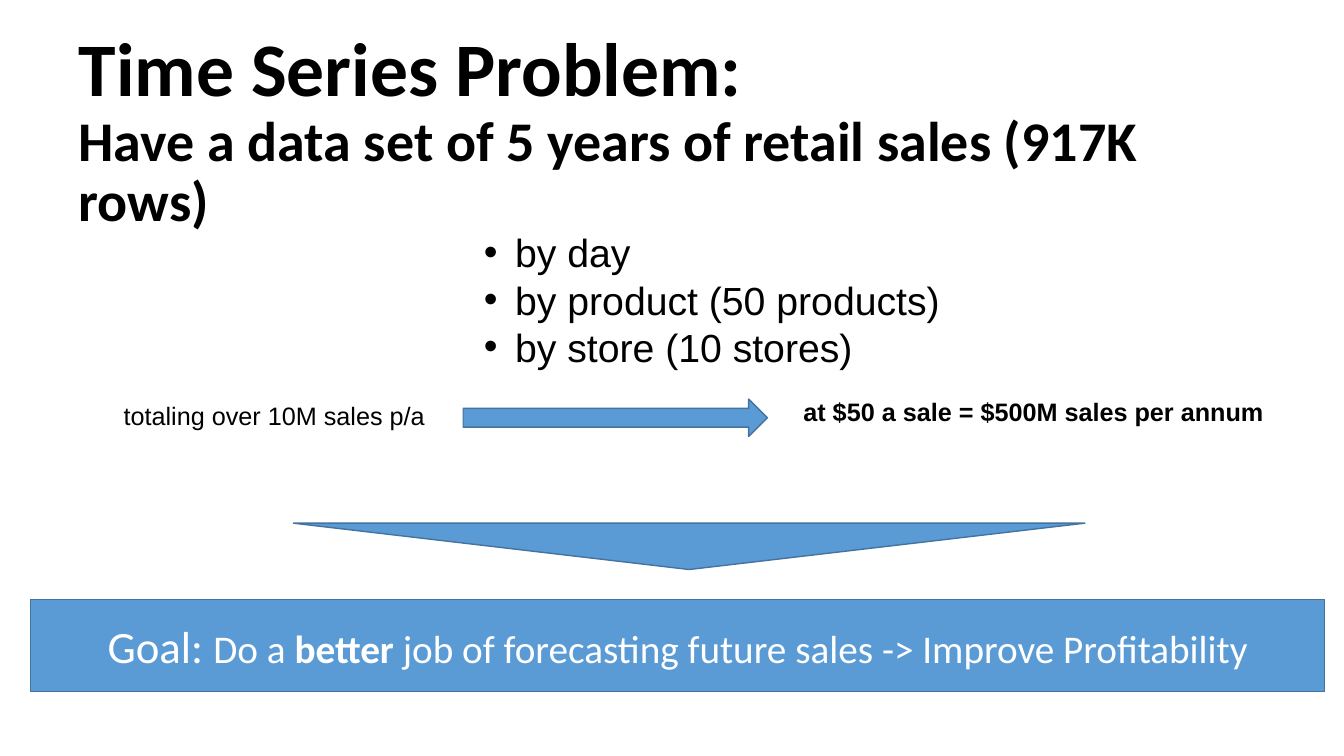
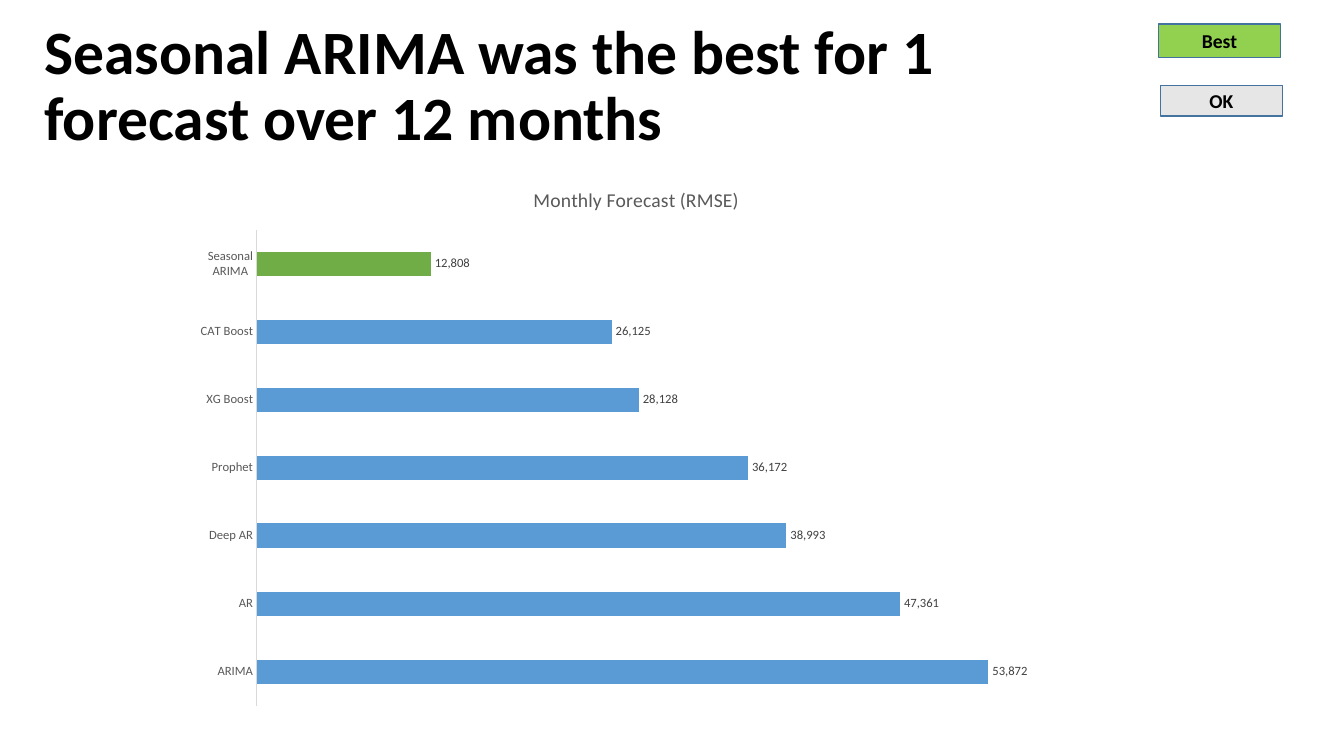
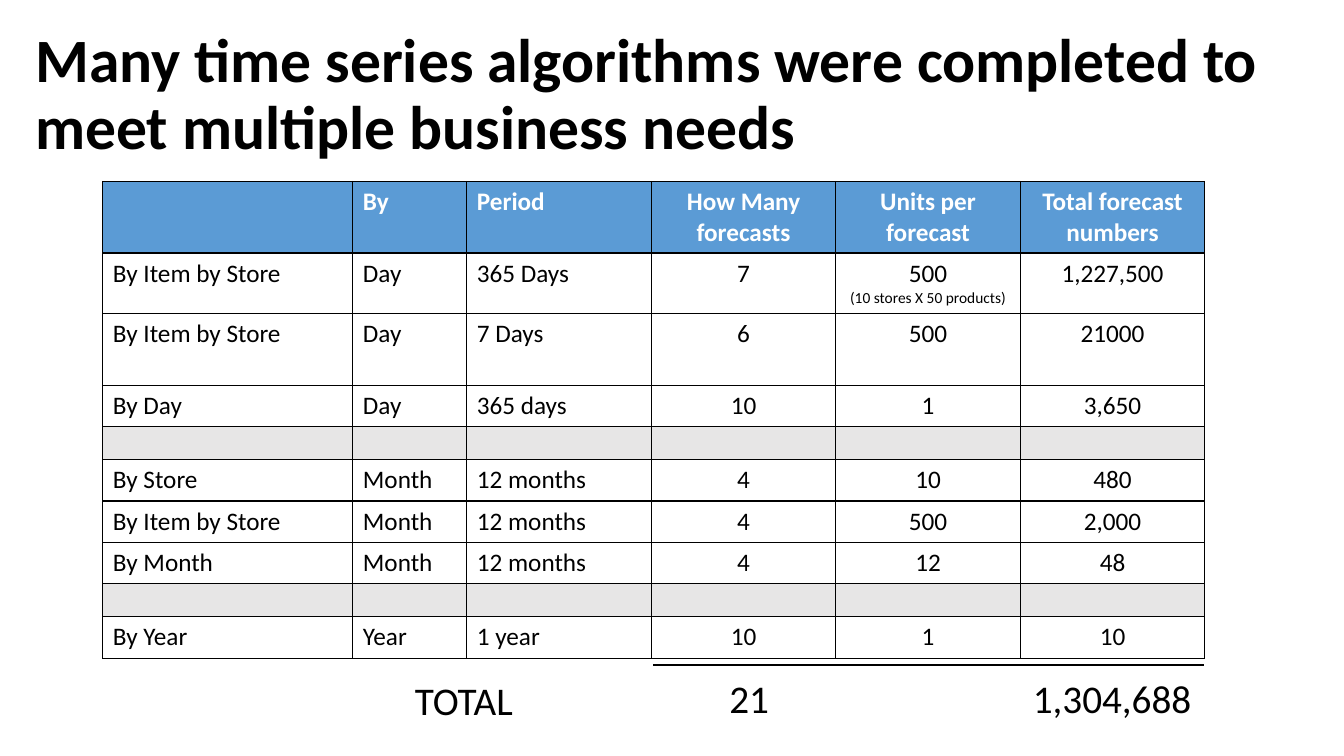
"""Build a three-slide deck on retail sales forecasting."""
from lxml import etree
from pptx import Presentation
from pptx import util as u
from pptx.chart.data import CategoryChartData
from pptx.dml.color import RGBColor
from pptx.enum import chart as charts, shapes, text
from pptx.oxml.ns import qn

EMU_PER_PX = 9144
BLACK = RGBColor(0x00, 0x00, 0x00)
WHITE = RGBColor(0xFF, 0xFF, 0xFF)
BLUE = RGBColor(0x5B, 0x9B, 0xD5)
DARK_BLUE = RGBColor(0x43, 0x73, 0x9E)
GREY = RGBColor(0xE7, 0xE6, 0xE6)
AXIS_GREY = RGBColor(0xD9, 0xD9, 0xD9)
LABEL_GREY = RGBColor(0x59, 0x59, 0x59)
VALUE_GREY = RGBColor(0x40, 0x40, 0x40)
LIME = RGBColor(0x92, 0xD0, 0x50)
GREEN = RGBColor(0x70, 0xAD, 0x47)

LEFT = text.PP_ALIGN.LEFT
CENTER = text.PP_ALIGN.CENTER
MIDDLE = text.MSO_ANCHOR.MIDDLE
SHAPE = shapes.MSO_SHAPE

FORECASTS = [
    ("", "By", "Period", "How Many forecasts", "Units per forecast", "Total forecast numbers"),
    ("By Item by Store", "Day", "365 Days", "7", "500\n(10 stores X 50 products)", "1,227,500"),
    ("By Item by Store", "Day", "7 Days", "6", "500", "21000"),
    ("By Day", "Day", "365 days", "10", "1", "3,650"),
    ("",) * 6,
    ("By Store", "Month", "12 months", "4", "10", "480"),
    ("By Item by Store", "Month", "12 months", "4", "500", "2,000"),
    ("By Month", "Month", "12 months", "4", "12", "48"),
    ("",) * 6,
    ("By Year", "Year", "1 year", "10", "1", "10"),
]
COLUMN_WIDTHS = [248, 113, 183, 183, 183, 183]
ROW_HEIGHTS = [70, 60, 71, 41, 33, 41, 41, 41, 33, 41]
RMSE = {
    "ARIMA": 53872,
    "AR": 47361,
    "Deep AR": 38993,
    "Prophet": 36172,
    "XG Boost": 28128,
    "CAT Boost": 26125,
    "Seasonal ARIMA": 12808,
}


def px(*lengths):
    return [u.Emu(length * EMU_PER_PX) for length in lengths]


def apply(target, **values):
    for name, value in values.items():
        setattr(target, name, value)


def style_font(font, size, color=BLACK, name="Calibri", bold=False):
    apply(font, size=u.Pt(size), name=name, bold=bold)
    font.color.rgb = color


def style_line(line, color, width):
    line.color.rgb = color
    line.width = u.Pt(width)


def write(frame, paras, align=LEFT, **frame_format):
    """Fill a text frame with paragraphs, each a list of (text, font format) spans."""
    apply(frame, **frame_format)
    for index, spans in enumerate(paras):
        para = frame.add_paragraph() if index else frame.paragraphs[0]
        para.alignment = align
        for words, font_format in spans:
            if words == "\n":
                para.add_line_break()
                continue
            span = para.add_run()
            span.text = words
            style_font(span.font, **font_format)


def add_titled_page(deck, bounds, spans):
    page = deck.slides.add_slide(deck.slide_layouts[5])
    title = page.shapes.title
    apply(title, **dict(zip(("left", "top", "width", "height"), px(*bounds))))
    write(title.text_frame, [spans], vertical_anchor=MIDDLE, word_wrap=True,
          auto_size=text.MSO_AUTO_SIZE.NONE)
    title.text_frame.paragraphs[0].line_spacing = 0.9
    return page


def add_block(page, kind, bounds, fill=BLUE, outlined=True):
    block = page.shapes.add_shape(kind, *px(*bounds))
    block.shadow.inherit = False
    block.fill.solid()
    block.fill.fore_color.rgb = fill
    if outlined:
        style_line(block.line, DARK_BLUE, 1)
    else:
        block.line.fill.background()
    return block


def add_label_block(page, bounds, fill, spans):
    block = add_block(page, SHAPE.RECTANGLE, bounds, fill)
    write(block.text_frame, [spans], CENTER, vertical_anchor=MIDDLE, word_wrap=True)


def add_note(page, bounds, paras, align):
    note = add_block(page, SHAPE.RECTANGLE, bounds, WHITE, outlined=False)
    left, top, right, bottom = px(0, 0, 0, 13)
    write(note.text_frame, paras, align, vertical_anchor=MIDDLE, word_wrap=True,
          auto_size=text.MSO_AUTO_SIZE.SHAPE_TO_FIT_TEXT, margin_left=left,
          margin_top=top, margin_right=right, margin_bottom=bottom)
    return note


def add_bullet(para, indent):
    props = para._p.get_or_add_pPr()
    props.set("marL", str(indent))
    props.set("indent", str(-indent))
    etree.SubElement(props, qn("a:buFont"), typeface="Arial")
    etree.SubElement(props, qn("a:buChar"), char="•")


def add_total(page, left, top, words):
    box = page.shapes.add_textbox(*px(left, top, 242, 35))
    write(box.text_frame, [[(words, dict(size=28))]], CENTER,
          vertical_anchor=MIDDLE, word_wrap=True)


def add_rule(page, start, end):
    rule = page.shapes.add_connector(shapes.MSO_CONNECTOR.STRAIGHT, *px(*start, *end))
    style_line(rule.line, BLACK, 1.5)
    etree.SubElement(rule._element.spPr, qn("a:effectLst"))


def add_cell_borders(cell):
    props = cell._tc.get_or_add_tcPr()
    for side in ("a:lnL", "a:lnR", "a:lnT", "a:lnB"):
        border = etree.SubElement(props, qn(side), w=str(u.Pt(1)))
        fill = etree.SubElement(border, qn("a:solidFill"))
        etree.SubElement(fill, qn("a:srgbClr"), val=str(BLACK))


def fill_cell(cell, words, align, is_header, is_gap):
    add_cell_borders(cell)
    if is_header or is_gap:
        cell.fill.solid()
        cell.fill.fore_color.rgb = BLUE if is_header else GREY
    else:
        cell.fill.background()
    if is_gap:
        apply(cell, margin_top=0, margin_bottom=0)
    if words:
        color = WHITE if is_header else BLACK
        paras = [[(line, dict(size=11 if index else 18, color=color, bold=is_header))]
                 for index, line in enumerate(words.split("\n"))]
        write(cell.text_frame, paras, align)


def add_forecast_table(page, left, top):
    bounds = px(left, top, sum(COLUMN_WIDTHS), sum(ROW_HEIGHTS))
    table = page.shapes.add_table(len(FORECASTS), len(COLUMN_WIDTHS), *bounds).table
    apply(table, first_row=False, horz_banding=False)
    for column, width in zip(table.columns, px(*COLUMN_WIDTHS)):
        column.width = width
    for row, height in zip(table.rows, px(*ROW_HEIGHTS)):
        row.height = height
    for r, entries in enumerate(FORECASTS):
        for c, words in enumerate(entries):
            fill_cell(table.cell(r, c), words, CENTER if c > 2 else LEFT,
                      r == 0, not any(entries))


def add_rmse_chart(page, bounds):
    data = CategoryChartData(number_format="#,##0")
    data.categories = list(RMSE)
    data.add_series("Series 1", list(RMSE.values()))
    chart = page.shapes.add_chart(charts.XL_CHART_TYPE.BAR_CLUSTERED, *px(*bounds), data).chart
    chart.has_legend = False
    style_font(chart.font, 10)
    write(chart.chart_title.text_frame,
          [[("Monthly Forecast (RMSE)", dict(size=14, color=LABEL_GREY))]], CENTER)

    names = chart.category_axis
    names.major_tick_mark = charts.XL_TICK_MARK.NONE
    style_font(names.tick_labels.font, 9, LABEL_GREY)
    style_line(names.format.line, AXIS_GREY, 0.75)
    apply(chart.value_axis, visible=False, has_major_gridlines=False,
          minimum_scale=0, maximum_scale=60000)

    plot = chart.plots[0]
    apply(plot, gap_width=182, vary_by_categories=False, has_data_labels=True)
    apply(plot.data_labels, show_value=True, number_format="#,##0",
          number_format_is_linked=False, position=charts.XL_LABEL_POSITION.OUTSIDE_END)
    style_font(plot.data_labels.font, 9, VALUE_GREY)
    series = plot.series[0]
    best = series.points[len(RMSE) - 1]
    for bar, color in ((series, BLUE), (best, GREEN)):
        bar.format.fill.solid()
        bar.format.fill.fore_color.rgb = color


def build_problem(deck):
    page = add_titled_page(deck, (68, 97, 1164, 69), [
        ("Time Series Problem:", dict(size=54, bold=True)),
        ("\n", {}),
        ("Have a data set of 5 years of retail sales (917K rows)", dict(size=40, bold=True)),
    ])
    goal = dict(size=28, color=WHITE)
    add_label_block(page, (30, 595, 1284, 91), BLUE, [
        ("Goal: ", dict(goal, size=32)),
        ("Do a ", goal),
        ("better", dict(goal, bold=True)),
        (" job of forecasting future sales -> Improve Profitability", goal),
    ])
    add_block(page, SHAPE.ISOSCELES_TRIANGLE, (291, 519, 785, 46)).rotation = 180
    levels = ("by day", "by product (50 products)", "by store (10 stores)")
    note = add_note(page, (480, 226, 502, 155),
                    [[(level, dict(size=28, name="Arial"))] for level in levels], LEFT)
    for para in note.text_frame.paragraphs:
        add_bullet(para, *px(31))
    add_block(page, SHAPE.RIGHT_ARROW, (459, 396, 302, 37))
    for bounds, words, bold in (
        ((794, 393, 462, 44), "at $50 a sale = $500M sales per annum", True),
        ((85, 397, 374, 44), "totaling over 10M sales p/a", False),
    ):
        add_note(page, bounds, [[(words, dict(size=18, name="Arial", bold=bold))]], CENTER)


def build_comparison(deck):
    page = add_titled_page(deck, (34, 23, 1048, 128), [
        ("Seasonal ARIMA was the best for 1 forecast over 12 months", dict(size=44, bold=True)),
    ])
    for bounds, fill, words in (
        ((1151, 85, 121, 30), GREY, "OK"),
        ((1149, 24, 121, 33), LIME, "Best"),
    ):
        add_label_block(page, bounds, fill, [(words, dict(size=14, bold=True))])
    add_rmse_chart(page, (181, 165, 900, 546))


def build_summary(deck):
    page = add_titled_page(deck, (25, 61, 1285, 69), [
        ("Many time series algorithms were completed to meet multiple business needs",
         dict(size=44, bold=True)),
    ])
    add_forecast_table(page, 102, 180)
    for left, top, words in ((339, 677, "TOTAL"), (622, 675, "21"), (982, 675, "1,304,688")):
        add_total(page, left, top, words)
    add_rule(page, (648, 660), (1194, 660))


def main():
    deck = Presentation()
    deck.slide_width, deck.slide_height = u.Inches(13.33), u.Inches(7.5)
    for build in (build_problem, build_comparison, build_summary):
        build(deck)
    deck.save("out.pptx")


if __name__ == "__main__":
    main()
